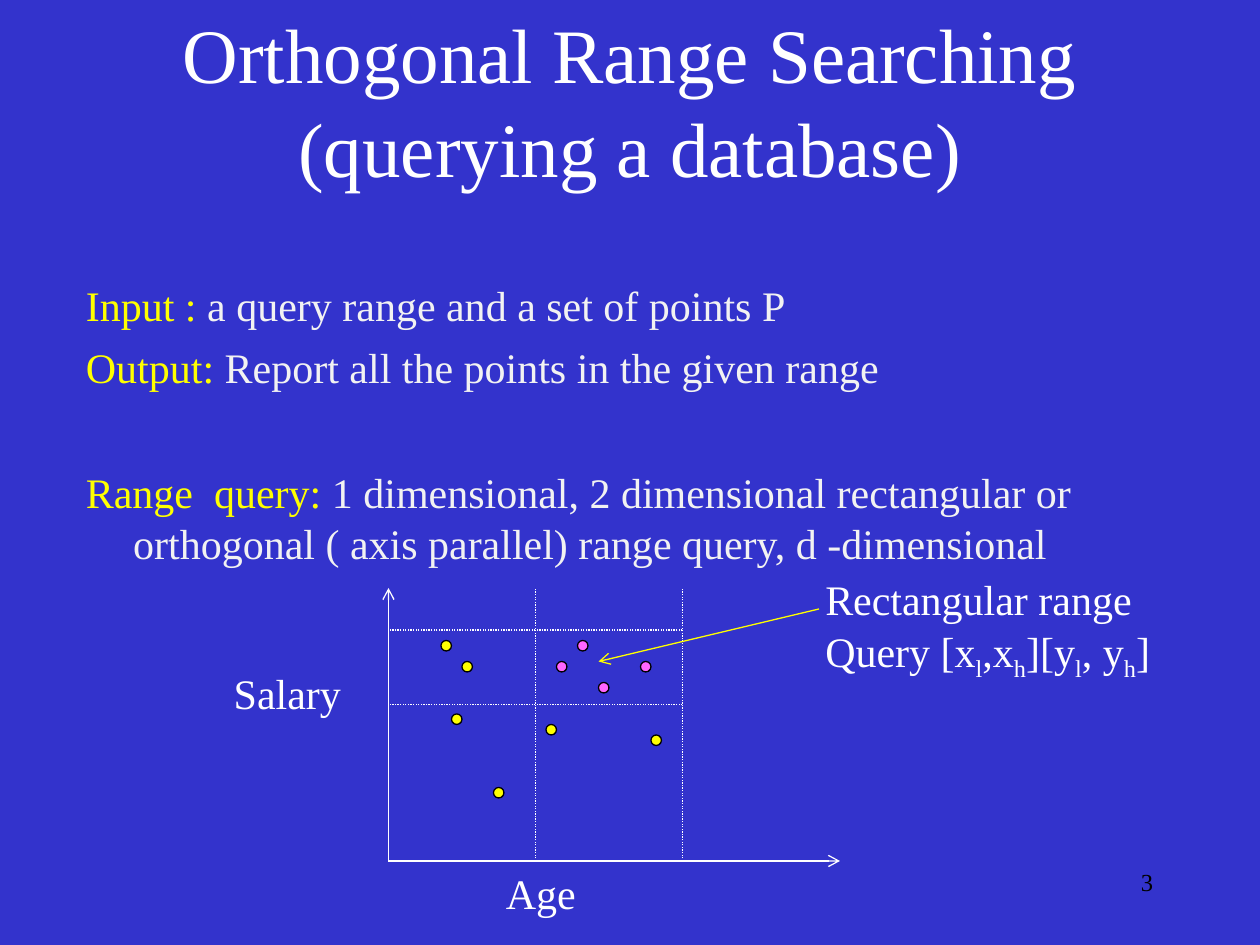
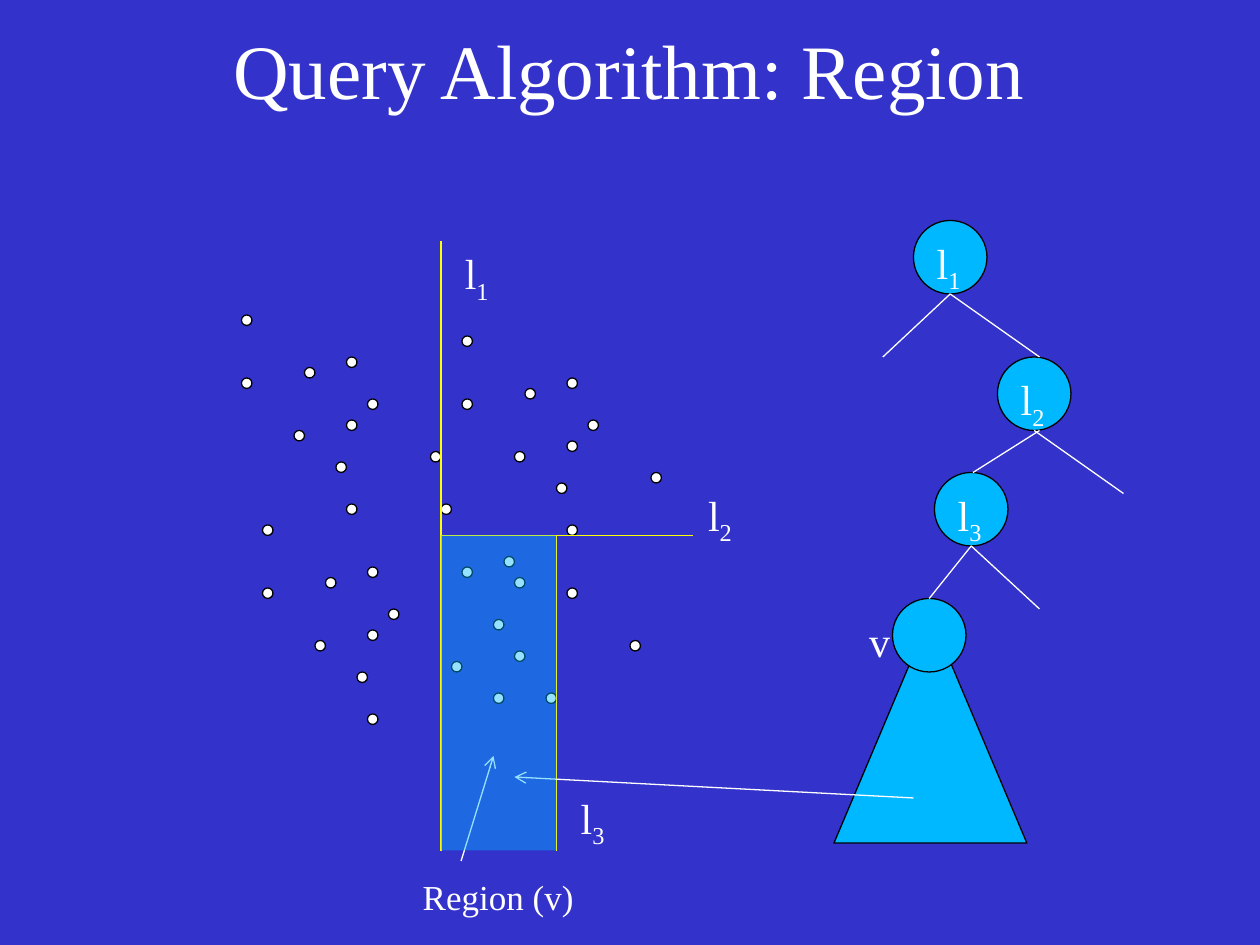
"""Build two slides on orthogonal range searching and query regions."""
from dataclasses import dataclass

from lxml.etree import SubElement
from pptx import Presentation
from pptx.dml.color import RGBColor
from pptx.enum.dml import MSO_LINE
from pptx.enum.shapes import MSO_CONNECTOR, MSO_SHAPE
from pptx.enum.text import MSO_ANCHOR, MSO_AUTO_SIZE, PP_ALIGN
from pptx.oxml.ns import qn
from pptx.presentation import Presentation as Deck
from pptx.shapes.autoshape import Shape
from pptx.slide import Slide
from pptx.text.text import TextFrame, _Paragraph
from pptx.util import Pt


@dataclass(frozen=True)
class Theme:
    """Colours, type and line sizes shared by the slides."""
    font: str = "Times New Roman"
    background: str = "3333CC"
    white: str = "FFFFFF"
    body: str = "F2F2F2"
    yellow: str = "FFFF00"
    pink: str = "FF66FF"
    cyan: str = "00B8FF"
    black: str = "000000"
    title_size: float = 44
    text_size: float = 24
    caption_size: float = 20
    number_size: float = 14
    line_width: float = 0.75
    edge_spacing: float = 0.5
    grid: float = 6
    node_size: float = 42


THEME = Theme()


@dataclass(frozen=True)
class Box:
    """A rectangle in points."""
    left: float
    top: float
    width: float
    height: float

    def lengths(self) -> tuple[Pt, Pt, Pt, Pt]:
        """Give the four sides as lengths."""
        return Pt(self.left), Pt(self.top), Pt(self.width), Pt(self.height)


@dataclass(frozen=True)
class Span:
    """A stretch of text in one style."""
    text: str
    color: str = THEME.white
    lowered: bool = False


@dataclass(frozen=True)
class Label:
    """A free-standing text, one tuple of spans a line."""
    box: Box
    lines: tuple[tuple[Span, ...], ...]
    size: float = THEME.text_size
    align: PP_ALIGN = PP_ALIGN.LEFT


@dataclass(frozen=True)
class Segment:
    """A straight line in points."""
    x1: float
    y1: float
    x2: float
    y2: float
    color: str = THEME.white
    arrow: bool = False
    dotted: bool = False


@dataclass(frozen=True)
class Node:
    """A tree node and the spans written in it."""
    left: float
    top: float
    name: tuple[Span, ...] = ()


def indexed(letter: str, index: str) -> tuple[Span, Span]:
    """Give a letter with a lowered index."""
    return Span(letter), Span(index, lowered=True)


def space(paragraph: _Paragraph, before: float) -> None:
    """Set the paragraph spacing."""
    paragraph.space_before = Pt(before)
    paragraph.space_after = Pt(THEME.edge_spacing)


def write(frame: TextFrame, lines: tuple[tuple[Span, ...], ...], size: float,
          gaps: tuple[float, ...] = (), align: PP_ALIGN = PP_ALIGN.LEFT) -> None:
    """Write lines of spans into a text frame."""
    for index, spans in enumerate(lines):
        paragraph = frame.add_paragraph() if index else frame.paragraphs[0]
        default_gap = THEME.edge_spacing if index else 0
        space(paragraph, gaps[index] if gaps else default_gap)
        paragraph.alignment = align
        for span in spans:
            run = paragraph.add_run()
            run.text = span.text
            run.font.name = THEME.font
            run.font.size = Pt(size)
            run.font.color.rgb = RGBColor.from_string(span.color)
            if span.lowered:
                run._r.get_or_add_rPr().set("baseline", "-25000")


def add_titled_slide(deck: Deck, title: str, box: Box) -> Slide:
    """Add a slide with its title placed and styled."""
    slide = deck.slides.add_slide(deck.slide_layouts[5])
    heading = slide.shapes.title
    heading.left, heading.top, heading.width, heading.height = box.lengths()
    frame = heading.text_frame
    frame.text = title
    frame.auto_size = MSO_AUTO_SIZE.NONE
    frame.vertical_anchor = MSO_ANCHOR.MIDDLE
    for index, paragraph in enumerate(frame.paragraphs):
        space(paragraph, THEME.edge_spacing if index else 0)
        paragraph.alignment = PP_ALIGN.CENTER
        for run in paragraph.runs:
            run.font.name = THEME.font
            run.font.size = Pt(THEME.title_size)
            run.font.color.rgb = RGBColor.from_string(THEME.white)
    return slide


def add_label(slide: Slide, label: Label) -> None:
    """Draw a label, kept on its own lines when left-aligned."""
    frame = slide.shapes.add_textbox(*label.box.lengths()).text_frame
    frame.word_wrap = label.align != PP_ALIGN.LEFT
    frame.auto_size = MSO_AUTO_SIZE.SHAPE_TO_FIT_TEXT
    write(frame, label.lines, label.size, align=label.align)


def add_figure(slide: Slide, kind: MSO_SHAPE, box: Box, color: str) -> Shape:
    """Draw a filled shape with a thin black outline."""
    figure = slide.shapes.add_shape(kind, *box.lengths())
    figure.shadow.inherit = False
    figure.fill.solid()
    figure.fill.fore_color.rgb = RGBColor.from_string(color)
    figure.line.color.rgb = RGBColor.from_string(THEME.black)
    figure.line.width = Pt(THEME.line_width)
    return figure


def add_points(slide: Slide, cells: tuple[tuple[int, int], ...], color: str) -> None:
    """Draw one dot in each grid cell."""
    step = THEME.grid
    for column, row in cells:
        add_figure(slide, MSO_SHAPE.OVAL, Box(column * step, row * step, step, step), color)


def add_node(slide: Slide, node: Node) -> None:
    """Draw a tree node."""
    box = Box(node.left, node.top, THEME.node_size, THEME.node_size)
    frame = add_figure(slide, MSO_SHAPE.OVAL, box, THEME.cyan).text_frame
    if node.name:
        frame.vertical_anchor = MSO_ANCHOR.TOP
        frame.word_wrap = True
        write(frame, (node.name,), THEME.text_size)


def add_segment(slide: Slide, segment: Segment) -> None:
    """Draw a line, dotted or with an arrowhead where asked."""
    ends = (Pt(value) for value in (segment.x1, segment.y1, segment.x2, segment.y2))
    connector = slide.shapes.add_connector(MSO_CONNECTOR.STRAIGHT, *ends)
    connector.line.color.rgb = RGBColor.from_string(segment.color)
    connector.line.width = Pt(THEME.line_width)
    if segment.dotted:
        connector.line.dash_style = MSO_LINE.ROUND_DOT
    if segment.arrow:
        SubElement(connector.line._get_or_add_ln(), qn("a:tailEnd"), type="arrow")
    SubElement(connector._element.spPr, qn("a:effectLst"))


def add_problem(slide: Slide) -> None:
    """Write the input, output and kinds of query."""
    frame = slide.shapes.add_textbox(*Box(42, 156, 648, 96).lengths()).text_frame
    frame.word_wrap = True
    statements = (
        ("Input :", " a query range and a set of points P"),
        ("Output: ", "Report all the points in the given range"),
        ("Range  query:", " 1 dimensional, 2 dimensional rectangular or orthogonal "
                          "( axis parallel) range query, d -dimensional"),
    )
    lines = tuple((Span(term, THEME.yellow), Span(meaning, THEME.body))
                  for term, meaning in statements)
    write(frame, lines, THEME.text_size, gaps=(0, 6.5, 42))
    for paragraph in frame.paragraphs:
        properties = paragraph._p.get_or_add_pPr()
        properties.set("marL", str(Pt(27)))
        properties.set("indent", str(-Pt(27)))


def build_range_searching(deck: Deck) -> None:
    """Build the slide on querying a database."""
    slide = add_titled_slide(deck, "Orthogonal Range Searching\n(querying a database)",
                             Box(36, 12, 648, 90))
    add_problem(slide)
    left, right, top, bottom = 222, 390, 336, 492
    axes = (Segment(left, bottom, 480, bottom, arrow=True),
            Segment(left, bottom, left, top, arrow=True))
    columns = tuple(Segment(x, bottom, x, top, dotted=True) for x in (306, right))
    rows = tuple(Segment(right, y, left, y, dotted=True) for y in (360, 402.4))
    pointer = Segment(468, 348, 342, 378, THEME.yellow, arrow=True)
    for segment in (*axes, *columns, *rows, pointer):
        add_segment(slide, segment)
    add_points(slide, ((42, 61), (44, 63), (43, 68), (52, 69), (62, 70), (47, 75)),
               THEME.yellow)
    add_points(slide, ((55, 61), (53, 63), (61, 63), (57, 65)), THEME.pink)
    interval = (Span("Query ["), *indexed("x", "l"), Span(","), *indexed("x", "h"),
                Span("]["), *indexed("y", "l"), Span(", "), *indexed("y", "h"), Span("]"))
    for label in (
        Label(Box(282, 492, 58, 36), ((Span("Age"),),)),
        Label(Box(126.5, 378, 78, 36), ((Span("Salary"),),)),
        Label(Box(464.5, 324, 202, 70), ((Span("Rectangular range"),), interval)),
        Label(Box(516, 492, 150, 36), ((Span("3", THEME.black),),),
              THEME.number_size, PP_ALIGN.RIGHT),
    ):
        add_label(slide, label)


def add_region(slide: Slide, box: Box) -> None:
    """Draw the see-through query region."""
    region = add_figure(slide, MSO_SHAPE.RECTANGLE, box, THEME.cyan)
    region.line.fill.background()
    tint = region._element.spPr.find(qn("a:solidFill"))[0]
    SubElement(tint, qn("a:alpha"), val="41000")


def build_query_region(deck: Deck) -> None:
    """Build the slide on the region of a tree node."""
    slide = add_titled_slide(deck, "Query Algorithm: Region", Box(54, 18, 611, 42))
    add_points(slide, (
        (23, 30), (29, 35), (23, 36), (33, 34), (28, 41), (33, 40), (35, 38), (32, 44),
        (41, 43), (33, 48), (44, 32), (50, 37), (44, 38), (54, 36), (49, 43), (54, 42),
        (56, 40), (53, 46), (62, 45), (54, 50), (42, 48), (48, 53), (44, 54), (49, 55),
        (47, 59), (47, 66), (54, 56), (49, 62), (60, 61), (52, 66), (25, 50), (31, 55),
        (25, 56), (35, 54), (30, 61), (35, 60), (37, 58), (34, 64), (43, 63), (35, 68),
    ), THEME.white)
    add_figure(slide, MSO_SHAPE.ISOSCELES_TRIANGLE, Box(476.6, 351.4, 110.2, 130.3),
               THEME.cyan)
    for node in (Node(522, 126, indexed("l", "1")), Node(570, 204, indexed("l", "2")),
                 Node(534, 270, indexed("l", "3")), Node(510, 342)):
        add_node(slide, node)
    region = Box(252, 306, 66, 180)
    right, bottom = region.left + region.width, region.top + region.height
    splits = (Segment(region.left, 138, region.left, bottom, THEME.yellow),
              Segment(region.left, region.top, 396, region.top, THEME.yellow),
              Segment(right, region.top, right, bottom, THEME.yellow))
    branches = (Segment(543, 168, 504.5, 204), Segment(543, 168, 594, 204),
                Segment(594, 246, 556, 270), Segment(591, 246, 642, 282),
                Segment(555, 312, 531, 342), Segment(555, 312, 594, 348))
    pointers = (Segment(263.5, 492, 282, 432, arrow=True),
                Segment(522, 456, 294, 444, arrow=True))
    for segment in (*splits, *branches, *pointers):
        add_segment(slide, segment)
    for index, (left, top) in enumerate(((258.5, 138), (397.5, 276), (324.7, 449.3)), 1):
        add_label(slide, Label(Box(left, top, 29, 40), (indexed("l", str(index)),)))
    add_label(slide, Label(Box(489.6, 348, 27, 36), ((Span("v"),),)))
    add_label(slide, Label(Box(234.5, 496.8, 102, 31.7), ((Span("Region (v)"),),),
                           THEME.caption_size))
    add_region(slide, region)


def main() -> None:
    """Build and save the presentation."""
    deck = Presentation()
    deck.slide_width, deck.slide_height = Pt(720), Pt(540)
    backdrop = deck.slide_master.background.fill
    backdrop.solid()
    backdrop.fore_color.rgb = RGBColor.from_string(THEME.background)
    build_range_searching(deck)
    build_query_region(deck)
    deck.save("out.pptx")


if __name__ == "__main__":
    main()
